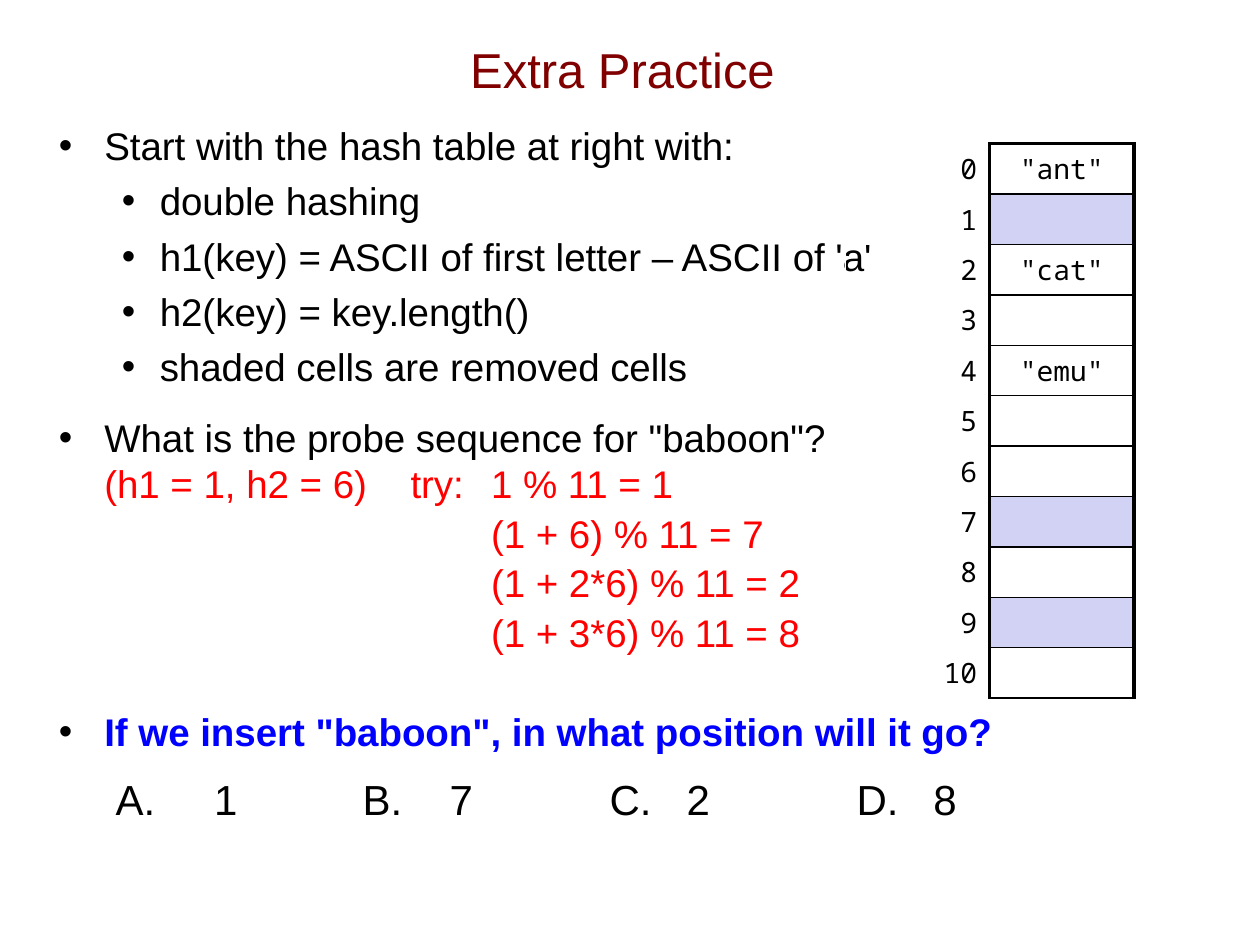
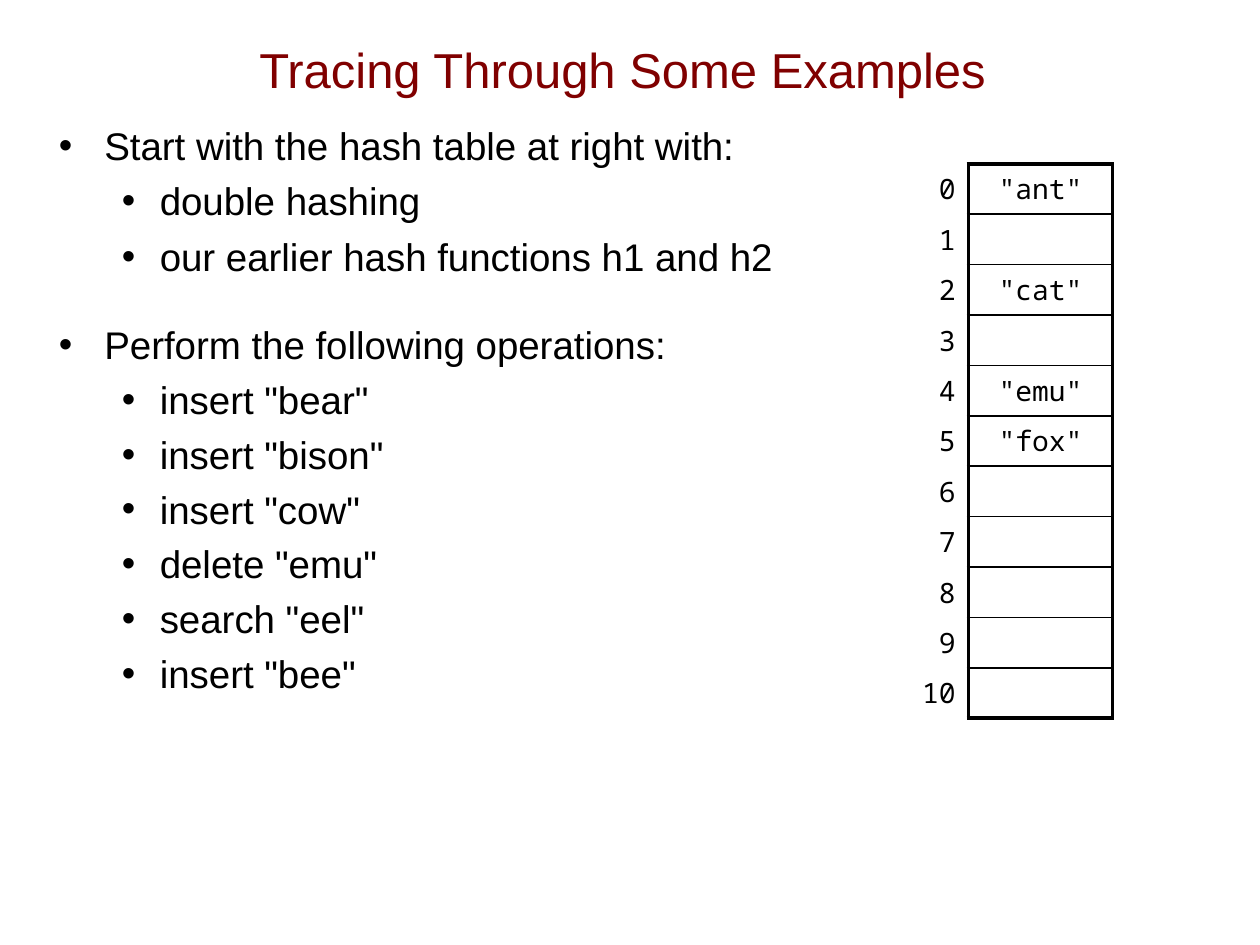
import pptx
import pptx.dml.color
import pptx.enum.text
import pptx.oxml
import pptx.oxml.ns
import pptx.util

Inches, Pt = pptx.util.Inches, pptx.util.Pt
ALIGN = pptx.enum.text.PP_ALIGN
ANCHOR = pptx.enum.text.MSO_ANCHOR
COLORS = {"title": "800000", "text": "000000", "answer": "FF0000",
          "question": "0000FF", "removed": "D2D2F4", "cell": "FFFFFF"}
BODY_FONT, CODE_FONT = "Arial", "Noto Sans Mono"
TAB = 0.49               # tab grid of the text, in inches
PROBE_COLUMN = 7 * TAB   # where the probe steps line up
SLOTS = 11
COL_W, ROW_H = 1.145, 0.4
THICK, THIN = 2.25, 1


def rgb(name):
    return pptx.dml.color.RGBColor.from_string(COLORS[name])


def style(font, size, color="text", name=BODY_FONT, bold=False):
    font.name, font.size, font.bold = name, Pt(size), bold
    font.color.rgb = rgb(color)


def add_xml(parent, tag, **attrs):
    el = pptx.oxml.parse_xml(f"<a:{tag} {pptx.oxml.ns.nsdecls('a')}/>")
    for key, value in attrs.items():
        el.set(key, str(value))
    parent.append(el)
    return el


def add_box(slide, left, top, width, height, anchor=ANCHOR.TOP):
    tf = slide.shapes.add_textbox(*map(Inches, (left, top, width, height))).text_frame
    tf.word_wrap = True
    tf.vertical_anchor = anchor
    return tf


def set_layout(p, margin, hang=0, bullet=None, tabs=()):
    """Set indents, a bullet character or numbering scheme, and tab stops."""
    pPr = p._p.get_or_add_pPr()
    pPr.set("marL", str(Inches(margin)))
    pPr.set("indent", str(-Inches(hang)))
    if bullet:
        clr = add_xml(pPr, "buClr")
        add_xml(clr, "srgbClr", val=COLORS["text"])
        add_xml(pPr, "buFont", typeface=BODY_FONT)
        if bullet == "•":
            add_xml(pPr, "buChar", char=bullet)
        else:
            add_xml(pPr, "buAutoNum", type=bullet)
    if tabs:
        tab_list = add_xml(pPr, "tabLst")
        for pos in tabs:
            add_xml(tab_list, "tab", pos=Inches(pos), algn="l")


def add_paragraph(tf, text, before, size=22, color="text", bold=False, **layout):
    p = tf.paragraphs[0] if not tf.text else tf.add_paragraph()
    p.space_before = Pt(before)
    set_layout(p, **layout)
    p.add_run().text = text
    style(p.font, size, color, bold=bold)
    return p


def add_point(tf, text, before=14, **options):
    return add_paragraph(tf, text, before, margin=0.36, hang=0.36, bullet="•", **options)


def add_subpoints(tf, texts, before=5.2):
    for text in texts:
        add_paragraph(tf, text, before, margin=0.8, hang=0.3, bullet="•")


def add_slide(prs, title):
    """Add a titled slide and return it with the frame of its body text."""
    slide = prs.slides.add_slide(prs.slide_layouts[6])
    tf = add_box(slide, 0.64, 0.08, 8.6, 0.93, ANCHOR.MIDDLE)
    p = tf.paragraphs[0]
    p.text, p.alignment = title, ALIGN.CENTER
    style(p.font, 28, "title")
    return slide, add_box(slide, 0.37, 0.92, 9.63, 6.14)


def set_borders(cell, **widths):
    """Draw the given sides, named L, R, T and B in that order."""
    tcPr = cell._tc.get_or_add_tcPr()
    for side, width in widths.items():
        ln = add_xml(tcPr, "ln" + side, w=Pt(width))
        add_xml(add_xml(ln, "solidFill"), "srgbClr", val=COLORS["text"])


def fill_cell(cell, text, alignment):
    cell.vertical_anchor = ANCHOR.MIDDLE
    p = cell.text_frame.paragraphs[0]
    p.text, p.alignment = text, alignment
    style(p.font, 16, name=CODE_FONT)


def add_hash_table(slide, left, top, keys, removed=(), bottom=THICK):
    table = slide.shapes.add_table(SLOTS, 2, Inches(left), Inches(top),
                                   Inches(2 * COL_W), Inches(SLOTS * ROW_H)).table
    table.first_row = table.horz_banding = False
    for i in range(SLOTS):
        label, slot = table.cell(i, 0), table.cell(i, 1)
        fill_cell(label, str(i), ALIGN.RIGHT)
        set_borders(label, R=THICK)
        label.fill.background()
        fill_cell(slot, f'"{keys[i]}"' if i in keys else "", ALIGN.CENTER)
        set_borders(slot, L=THICK, R=THICK, T=THIN if i else THICK,
                    B=THIN if i < SLOTS - 1 else bottom)
        slot.fill.solid()
        slot.fill.fore_color.rgb = rgb("removed" if i in removed else "cell")


def add_choices(slide, values):
    """Put lettered choices in one row, four tabs apart."""
    step = 4 * TAB
    tabs = [pos for i in range(1, len(values))
            for pos in (i * step, i * step + (0.69 if i == 1 else 0.61))]
    rest = "".join(f"\t{letter}.\t{value}" for letter, value in zip("BCD", values[1:]))
    tf = add_box(slide, 0.82, 6.09, 8.42, 0.54)
    add_paragraph(tf, values[0] + rest, 8, size=24, margin=0.78, hang=0.78,
                  bullet="alphaUcPeriod", tabs=tabs)


def add_practice_slide(prs):
    slide, tf = add_slide(prs, "Extra Practice")
    add_point(tf, "Start with the hash table at right with:")
    add_subpoints(tf, ["double hashing",
                       "h1(key) = ASCII of first letter – ASCII of 'a'",
                       "h2(key) = key.length()",
                       "shaded cells are removed cells"])
    p = add_point(tf, 'What is the probe sequence for "baboon"?',
                  tabs=(2.79, PROBE_COLUMN))
    p.add_line_break()
    r = p.add_run()
    r.text = "(h1 = 1, h2 = 6)\ttry:\t1 % 11 = 1"
    r.font.color.rgb = rgb("answer")
    for step in ("(1 + 6) % 11 = 7", "(1 + 2*6) % 11 = 2", "(1 + 3*6) % 11 = 8"):
        add_paragraph(tf, step, 2, color="answer", margin=PROBE_COLUMN)
    add_point(tf, 'If we insert "baboon", in what position will it go?', 30,
              color="question", bold=True)
    add_hash_table(slide, 6.71, 1.14, {0: "ant", 2: "cat", 4: "emu"},
                   removed=(1, 7, 9), bottom=THIN)
    add_choices(slide, ["1", "7", "2", "8"])


def add_tracing_slide(prs):
    slide, tf = add_slide(prs, "Tracing Through Some Examples")
    add_point(tf, "Start with the hash table at right with:")
    add_subpoints(tf, ["double hashing", "our earlier hash functions h1 and h2"])
    add_point(tf, "Perform the following operations:", 24)
    add_subpoints(tf, ['insert "bear"', 'insert "bison"', 'insert "cow"',
                       'delete "emu"', 'search "eel"', 'insert "bee"'], before=5)
    add_hash_table(slide, 6.54, 1.3, {0: "ant", 2: "cat", 4: "emu", 5: "fox"})


def main():
    prs = pptx.Presentation()
    prs.slide_width, prs.slide_height = Inches(10), Inches(7.5)
    add_practice_slide(prs)
    add_tracing_slide(prs)
    prs.save("out.pptx")


if __name__ == "__main__":
    main()
